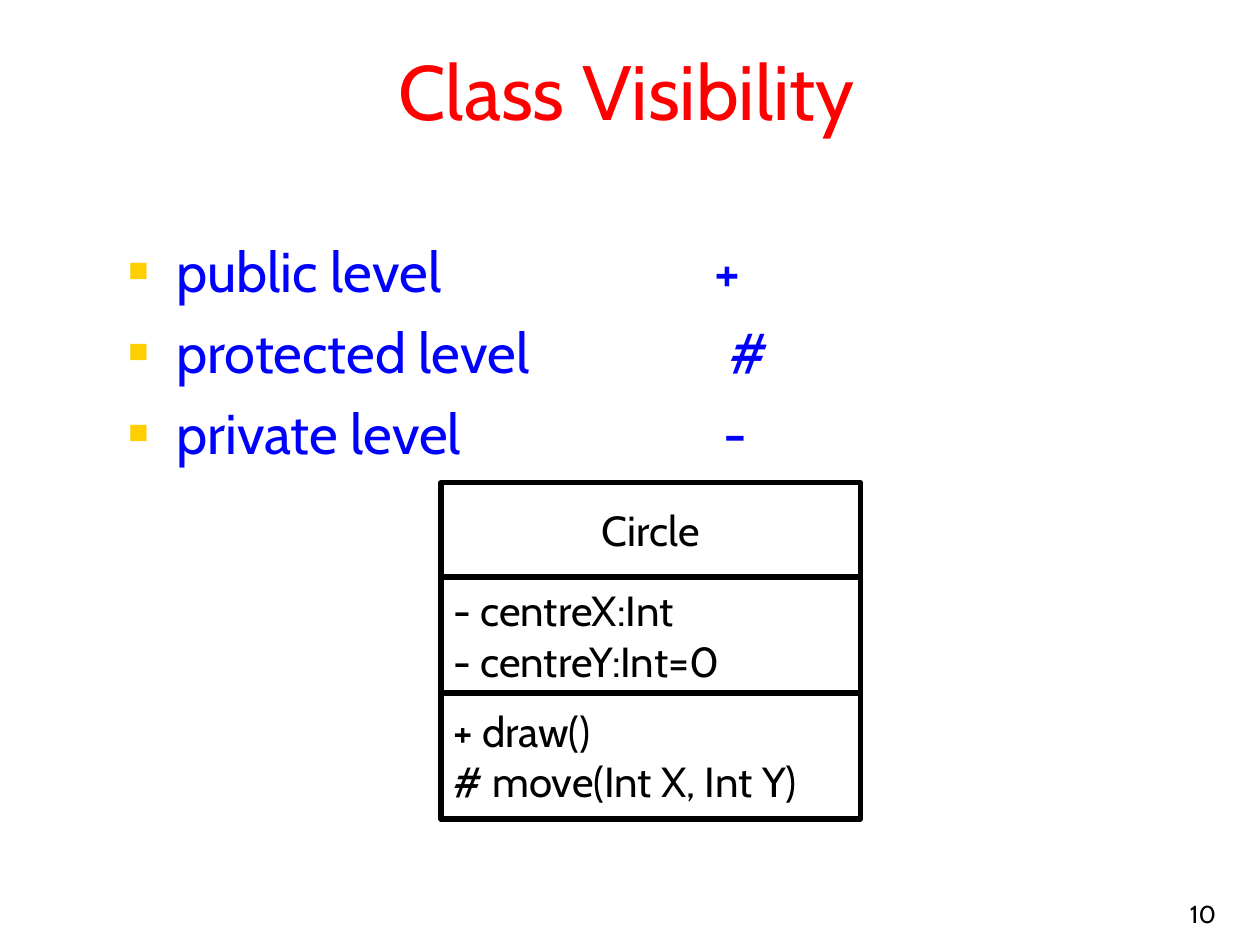
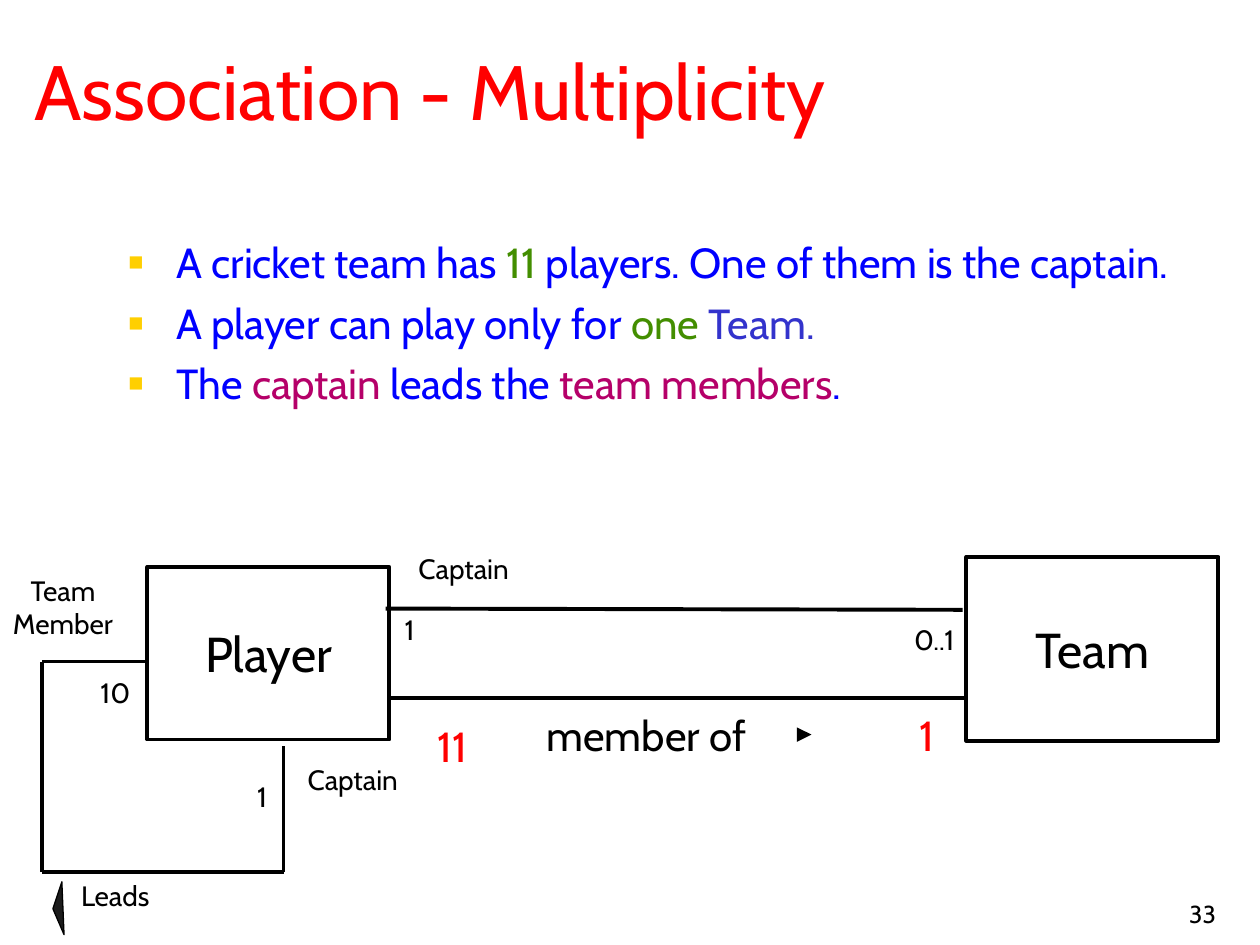
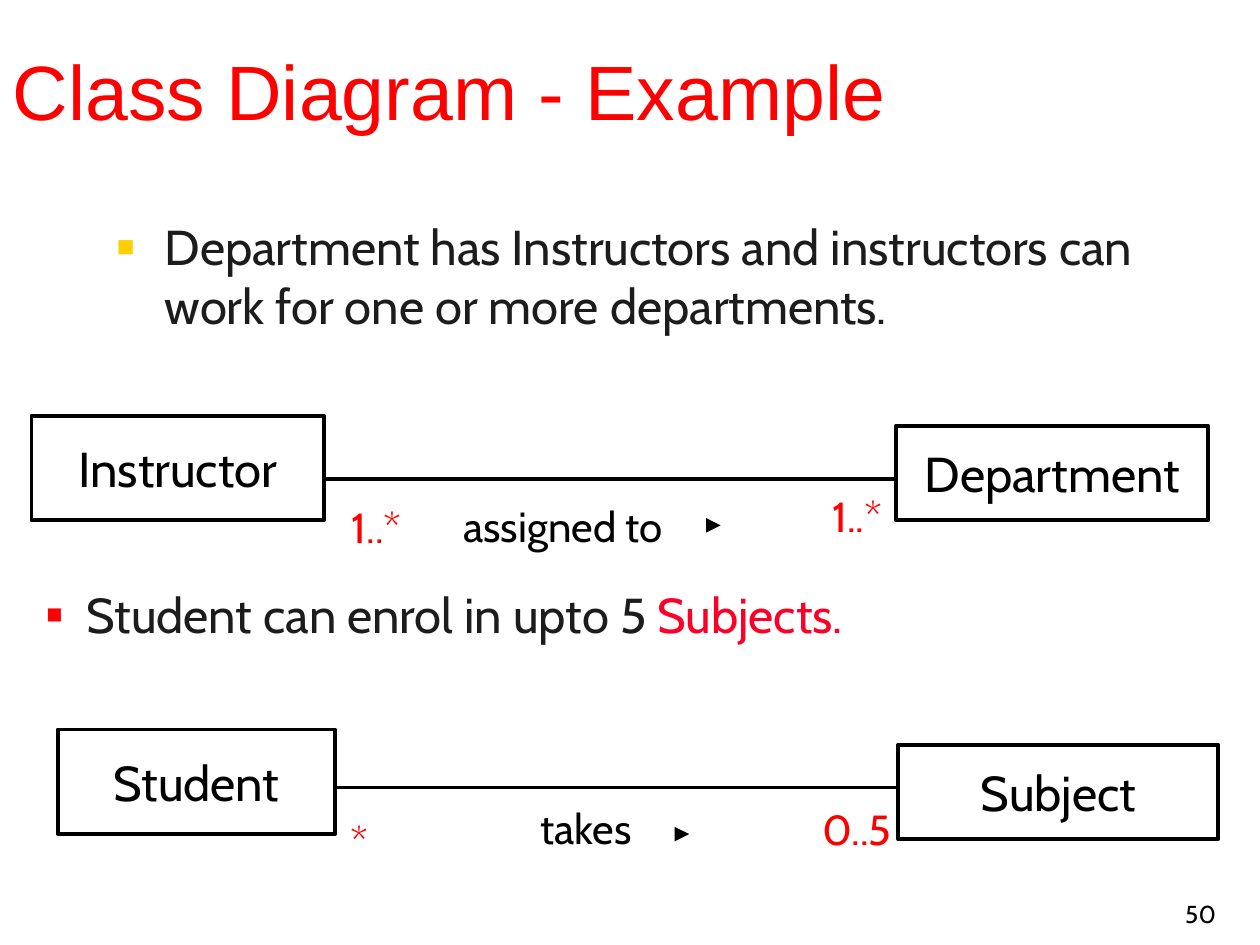
"""Build three UML class diagram slides: visibility, multiplicity and an example."""
from dataclasses import dataclass
from itertools import pairwise

from lxml import etree
from pptx import Presentation
from pptx.dml.color import RGBColor
from pptx.enum.shapes import MSO_CONNECTOR, MSO_SHAPE
from pptx.enum.text import MSO_ANCHOR, MSO_AUTO_SIZE, PP_ALIGN
from pptx.oxml.ns import qn
from pptx.util import Pt

LEFT, CENTER, RIGHT = PP_ALIGN.LEFT, PP_ALIGN.CENTER, PP_ALIGN.RIGHT
TOP, MIDDLE, BOTTOM = MSO_ANCHOR.TOP, MSO_ANCHOR.MIDDLE, MSO_ANCHOR.BOTTOM
RECTANGLE, TRIANGLE = MSO_SHAPE.RECTANGLE, MSO_SHAPE.ISOSCELES_TRIANGLE
STRAIGHT = MSO_CONNECTOR.STRAIGHT
NO_AUTOFIT = MSO_AUTO_SIZE.NONE
PX = 9144


@dataclass(frozen=True)
class Theme:
    """Colours, fonts and type sizes shared by the slides."""
    font: str = "Cabin"
    plain_font: str = "Arial"
    white: str = "FFFFFF"
    black: str = "000000"
    charcoal: str = "1C1C1C"
    red: str = "FF0000"
    crimson: str = "FC0128"
    blue: str = "0000FF"
    indigo: str = "3333CC"
    green: str = "438E00"
    plum: str = "B50069"
    gold: str = "FFCF01"
    title: int = 44
    large: int = 32
    name: int = 28
    label: int = 24
    role: int = 16
    number: int = 14
    outline: float = 2.25
    heavy: float = 3
    arrow: float = 2.75


theme = Theme()


def add_text(slide, text, at, size=theme.label, color=theme.black, font=theme.font, align=LEFT,
             anchor=TOP, wrap=True, fill=None, outline=None, holder=None, bullet=None,
             bullet_size=60, hanging=38, indents=None):
    """Write paragraphs, each a string or a list of (text, colour) runs, in a box."""
    position = [value * PX for value in at]
    if holder is not None:
        shape = holder
        shape.left, shape.top, shape.width, shape.height = position
    elif outline:
        shape = slide.shapes.add_shape(RECTANGLE, *position)
        shape.shadow.inherit = False
        shape.line.color.rgb = RGBColor.from_string(theme.black)
        shape.line.width = Pt(outline)
    else:
        shape = slide.shapes.add_textbox(*position)
    if fill:
        shape.fill.solid()
        shape.fill.fore_color.rgb = RGBColor.from_string(fill)
    frame = shape.text_frame
    frame.auto_size = NO_AUTOFIT
    frame.word_wrap = wrap
    frame.vertical_anchor = anchor
    frame.margin_left = frame.margin_right = 10 * PX
    frame.margin_top = frame.margin_bottom = 5 * PX

    for index, content in enumerate([text] if isinstance(text, str) else text):
        paragraph = frame.paragraphs[0] if index == 0 else frame.add_paragraph()
        paragraph.alignment = align
        properties = paragraph._p.get_or_add_pPr()
        if indents:
            properties.set("marL", str(indents[index] * PX))
        if bullet:
            properties.set("marL", str(hanging * PX))
            properties.set("indent", str(-hanging * PX))
            bullet_color = etree.SubElement(properties, qn("a:buClr"))
            etree.SubElement(bullet_color, qn("a:srgbClr"), val=bullet)
            etree.SubElement(properties, qn("a:buSzPct"), val=str(bullet_size * 1000))
            etree.SubElement(properties, qn("a:buFont"), typeface=theme.plain_font)
            etree.SubElement(properties, qn("a:buChar"), char="■")
        if index and (bullet or indents):
            paragraph.space_before = Pt(size * 0.24)
        for words, run_color in [(content, color)] if isinstance(content, str) else content:
            run = paragraph.add_run()
            run.text = words
            run.font.name = font
            run.font.size = Pt(size)
            run.font.color.rgb = RGBColor.from_string(run_color)


def add_line(slide, start, end, width=theme.outline, arrow=False):
    """Draw a straight black line, with an arrowhead at its end if asked."""
    line = slide.shapes.add_connector(STRAIGHT, *[value * PX for value in (*start, *end)])
    line.line.color.rgb = RGBColor.from_string(theme.black)
    line.line.width = Pt(width)
    if arrow:
        etree.SubElement(line.line._get_or_add_ln(), qn("a:tailEnd"), type="triangle")
    etree.SubElement(line._element.spPr, qn("a:effectLst"))


presentation = Presentation()
presentation.slide_width, presentation.slide_height = 1000 * PX, 750 * PX
class_format = dict(size=theme.name, align=CENTER, anchor=MIDDLE, wrap=False,
                    fill=theme.white, outline=theme.outline)
label_format = dict(align=CENTER, wrap=False)

slides = []
for title, number, left, align, font in [
    ("Class Visibility", "10", 17, CENTER, theme.font),
    ("Association - Multiplicity", "33", 17, LEFT, theme.font),
    ("Class Diagram - Example", "50", 0, LEFT, theme.plain_font),
]:
    slide = presentation.slides.add_slide(presentation.slide_layouts[5])
    add_text(slide, title, (left, 17, 961, 108), size=theme.title, color=theme.red, font=font,
             align=align, anchor=MIDDLE, fill=theme.white, holder=slide.shapes.title)
    add_text(slide, number, (767, 692, 208, 50), size=theme.number, align=RIGHT, anchor=BOTTOM)
    slides.append(slide)
visibility, multiplicity, example = slides

add_text(visibility, ["public level", "protected level", "private level"], (92, 183, 440, 200),
         size=theme.large, color=theme.blue, bullet=theme.gold)
add_text(visibility, ["+", "#", "-"], (557, 183, 100, 200), size=theme.large,
         color=theme.blue, indents=[0, 12, 7])
for text, top, height, align in [
    ("Circle", 383, 75, CENTER),
    (["- centreX:Int", "- centreY:Int=0"], 458, 92, LEFT),
    (["+ draw()", "# move(Int X, Int Y)"], 550, 100, LEFT),
]:
    add_text(visibility, text, (350, top, 333, height), align=align, anchor=MIDDLE,
             fill=theme.white, outline=theme.heavy)

add_text(multiplicity, [
    [("A cricket team has ", theme.blue), ("11 ", theme.green),
     ("players. One of them is the captain.", theme.blue)],
    [("A player can play only for ", theme.blue), ("one", theme.green),
     (" Team.", theme.indigo)],
    [("The ", theme.blue), ("captain ", theme.plum), ("leads the ", theme.blue),
     ("team members", theme.plum), (".", theme.blue)],
], (92, 183, 883, 200), bullet=theme.gold)
add_text(multiplicity, "Player", (117, 450, 192, 137), **class_format)
add_text(multiplicity, "Team", (767, 442, 200, 146), **class_format)
add_line(multiplicity, (308, 554), (767, 554))
add_line(multiplicity, (306, 483), (764, 484))
for start, end in pairwise([(117, 525), (33, 525), (33, 692), (225, 692), (225, 592)]):
    add_line(multiplicity, start, end)
for text, at in [
    ("Captain", (318, 433, 100, 37)),
    ("0..1", (713, 489, 57, 37)),
    ("1", (309, 481, 32, 37)),
    ("Captain", (230, 600, 100, 37)),
    (["Team", "Member"], (0, 450, 100, 90)),
    ("Leads", (50, 692, 83, 37)),
    ("1", (192, 614, 32, 37)),
    ("10", (69, 531, 45, 37)),
]:
    add_text(multiplicity, text, at, size=theme.role, **label_format)
leads = multiplicity.shapes.add_shape(TRIANGLE, 25 * PX, 717 * PX, 42 * PX, 8 * PX)
leads.rotation = 267.6
leads.shadow.inherit = False
leads.fill.solid()
leads.fill.fore_color.rgb = RGBColor.from_string(theme.charcoal)
leads.line.color.rgb = RGBColor.from_string(theme.black)
leads.line.width = Pt(0.75)

add_text(example, "Department has Instructors and instructors can work for one or more departments.",
         (83, 167, 883, 120), size=theme.name, color=theme.charcoal, bullet=theme.gold)
add_text(example, [[("Student can enrol in upto 5 ", theme.charcoal),
                    ("Subjects.", theme.crimson)]],
         (27, 459, 940, 60), size=theme.name, bullet=theme.red, bullet_size=55, hanging=32)
for text, at in [
    ("Instructor", (25, 330, 232, 83)),
    ("Department", (711, 338, 248, 75)),
    ("Student", (46, 579, 220, 83)),
    ("Subject", (713, 591, 254, 75)),
]:
    add_text(example, text, at, **class_format)
add_line(example, (257, 380), (711, 380))
add_line(example, (267, 625), (712, 625))

for slide, verb, verb_left, verb_top, arrow_left, arrow_right, arrow_top in [
    (multiplicity, "member of", 424, 558, 639, 644, 583),
    (example, "assigned to", 358, 392, 567, 572, 417),
    (example, "takes", 419, 632, 538, 547, 662),
]:
    add_text(slide, verb, (verb_left, verb_top, 190, 50))
    add_line(slide, (arrow_left, arrow_top), (arrow_right, arrow_top), theme.arrow, arrow=True)
for slide, text, at in [
    (multiplicity, "11", (292, 567, 134, 50)),
    (multiplicity, "1", (716, 558, 39, 50)),
    (example, "1..*", (240, 393, 118, 50)),
    (example, "1..*", (643, 384, 75, 50)),
    (example, "*", (247, 642, 76, 50)),
    (example, "0..5", (642, 633, 76, 50)),
]:
    add_text(slide, text, at, color=theme.red, **label_format)

presentation.save("out.pptx")
